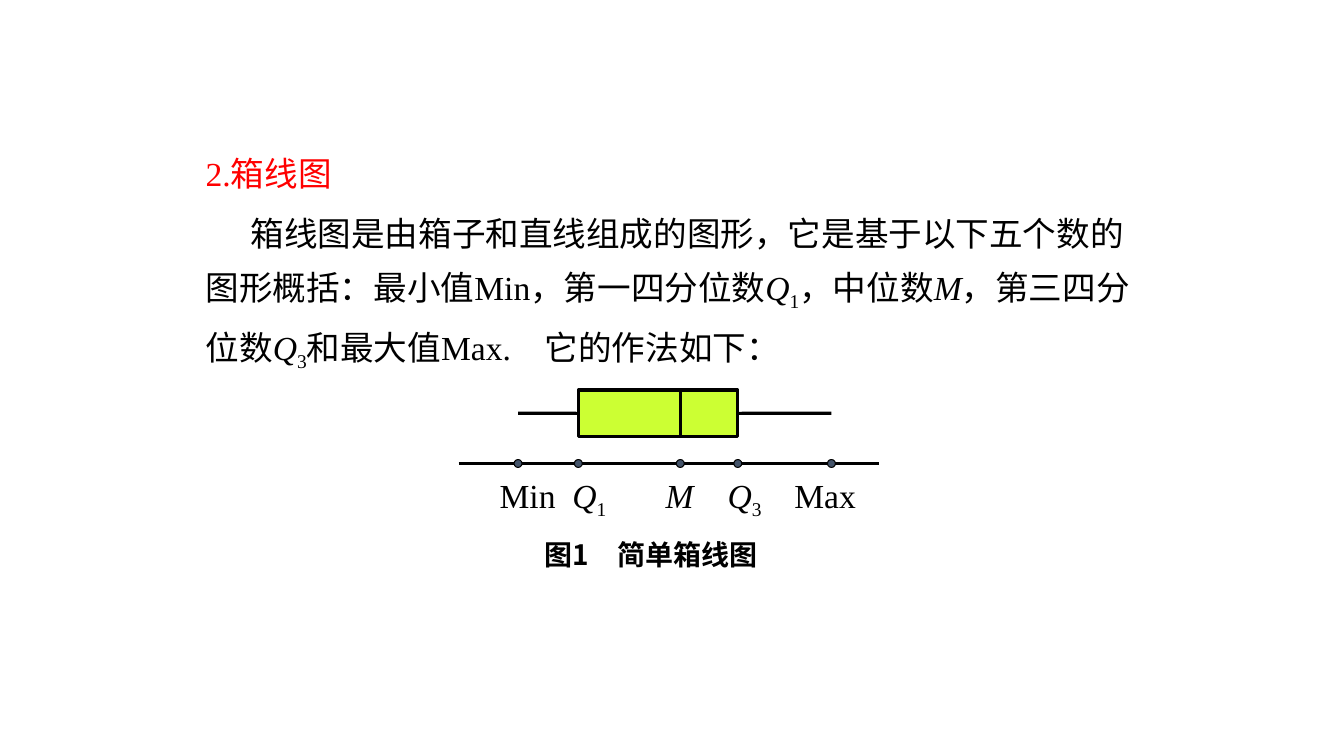
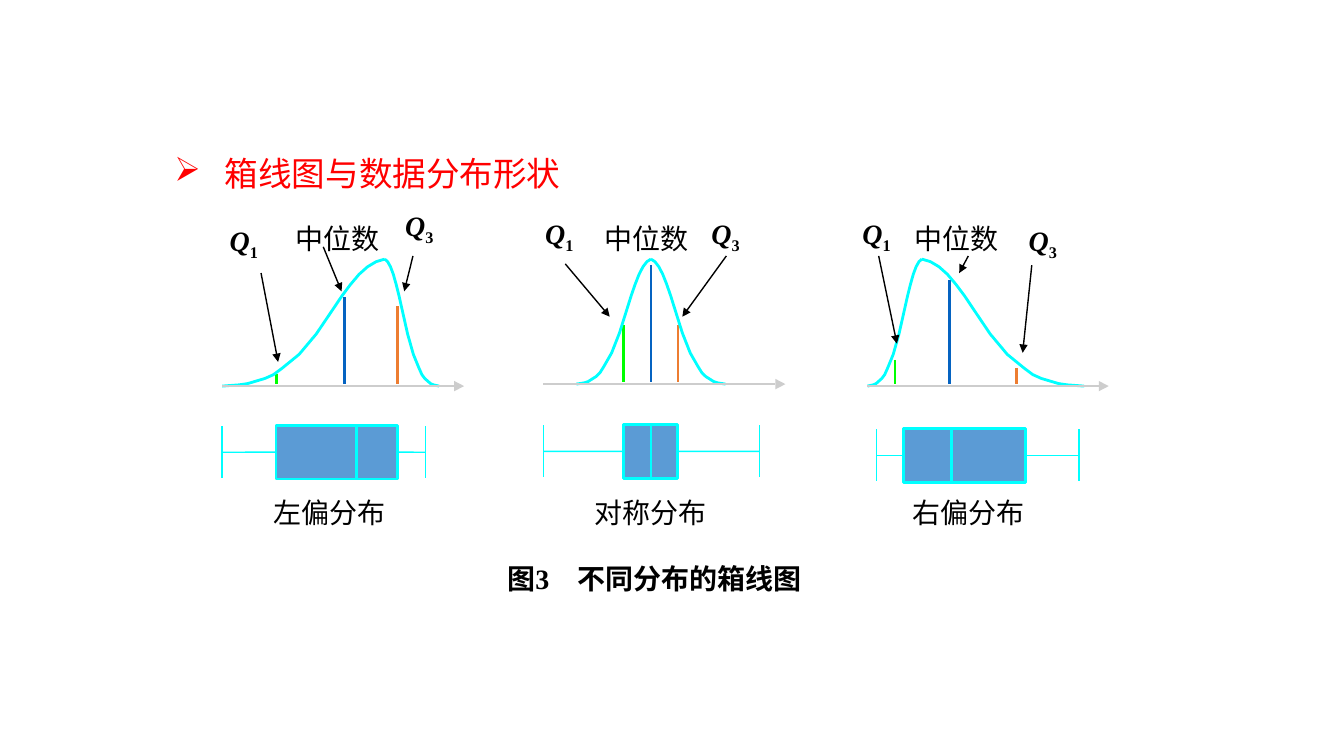
from dataclasses import dataclass

from lxml import etree
from pptx import Presentation
from pptx.dml.color import RGBColor
from pptx.enum.shapes import MSO_CONNECTOR, MSO_SHAPE
from pptx.enum.text import MSO_ANCHOR, MSO_AUTO_SIZE, PP_ALIGN
from pptx.oxml.ns import qn
from pptx.util import Cm, Pt

BLACK = RGBColor(0x00, 0x00, 0x00)
RED = RGBColor(0xFF, 0x00, 0x00)
CYAN = RGBColor(0x00, 0xFF, 0xFF)
LIME = RGBColor(0xCC, 0xFF, 0x33)
GREEN = RGBColor(0x00, 0xFF, 0x00)
BLUE = RGBColor(0x05, 0x63, 0xC1)
ORANGE = RGBColor(0xED, 0x7D, 0x31)
SKY = RGBColor(0x5B, 0x9B, 0xD5)
SLATE = RGBColor(0x44, 0x54, 0x6A)
GRAY = RGBColor(0xCD, 0xCD, 0xCD)

SERIF = "Times New Roman"
SANS = "Noto Sans CJK SC"
STRAIGHT = MSO_CONNECTOR.STRAIGHT
RECT = MSO_SHAPE.RECTANGLE
OVAL = MSO_SHAPE.OVAL
LEFT = PP_ALIGN.LEFT
CENTER = PP_ALIGN.CENTER
TOP = MSO_ANCHOR.TOP
NO_FIT = MSO_AUTO_SIZE.NONE

Q1 = [("Q", "i"), ("1", "sub")]
Q3 = [("Q", "i"), ("3", "sub")]
MEDIAN = [("中位数", "")]

CURVE_STEPS = [0, 2, 3, 4, 5, 6, 7, 9, 11, 13, 14, 15, 16, 17, 18, 19]
CURVE_DROPS = [1, 0.99, 0.98, 0.96, 0.94, 0.91, 0.86, 0.75, 0.59, 0.39,
               0.29, 0.2, 0.12, 0.06, 0.02, 0]
CURVE_TOP = 1.43
AXIS_LENGTH = 5.85


@dataclass
class Distribution:
    name: str
    name_x: float
    five: list
    box_top: float
    curve: list
    base: float
    marks: list
    labels: list
    arrows: list


DISTRIBUTIONS = [
    Distribution(
        "左偏分布", 2.72, [0, 1.36, 3.39, 4.43, 5.12], 5.62,
        [0, 4.1, 5.47], 4.63,
        [(1.36, 4.32), (3.09, 2.39), (4.43, 2.62)],
        [(0.55, 0.41), (2.92, 0.36), (4.97, 0.03)],
        [(0.98, 1.78, 1.41, 4.02), (2.55, 1.12, 3.01, 2.24),
         (4.81, 1.35, 4.59, 2.24)]),
    Distribution(
        "对称分布", 2.7, [0, 2.02, 2.71, 3.39, 5.45], 5.6,
        [0.83, 2.71, 4.59], 4.58,
        [(2.02, 3.1), (2.71, 1.58), (3.39, 3.1)],
        [(0.4, 0.23), (2.6, 0.36), (4.59, 0.23)],
        [(0.55, 1.55, 1.67, 2.88), (4.61, 1.35, 3.5, 2.88)]),
    Distribution(
        "右偏分布", 2.57, [0.25, 0.93, 2.13, 4.01, 5.35], 5.7,
        [0.02, 1.39, 5.48], 4.63,
        [(0.71, 3.97), (2.08, 1.96), (3.78, 4.17)],
        [(0.25, 0.23), (2.27, 0.36), (4.44, 0.41)],
        [(0.3, 1.35, 0.76, 3.56), (2.56, 1.35, 2.33, 1.78),
         (4.16, 1.58, 3.93, 3.79)]),
]


def write(p, runs, size, color=BLACK, bold=False, latin=SERIF):
    for text, style in runs:
        r = p.add_run()
        r.text = text
        f = r.font
        f.size, f.bold, f.italic = Pt(size), bold, style == "i"
        f.name = latin
        f.color.rgb = color
        rPr = r._r.get_or_add_rPr()
        rPr.find(qn("a:latin")).addnext(
            etree.Element(qn("a:ea"), typeface=SANS))
        if style == "sub":
            rPr.set("baseline", "-25000")


def place(sp, left, top, width, height):
    sp.left, sp.top, sp.width, sp.height = (
        Cm(v) for v in (left, top, width, height))
    tf = sp.text_frame
    tf.word_wrap = True
    tf.auto_size = NO_FIT
    tf.vertical_anchor = TOP
    return tf.paragraphs[0]


def heading(s, left, text, bullet=None):
    p = place(s.shapes.title, left, 3.73, 18.85, 1.27)
    p.alignment = LEFT
    if bullet:
        pPr = p._p.get_or_add_pPr()
        pPr.set("marL", str(Cm(1.27)))
        pPr.set("indent", str(-Cm(1.27)))
        clr = etree.SubElement(pPr, qn("a:buClr"))
        etree.SubElement(clr, qn("a:srgbClr"), val=str(RED))
        etree.SubElement(pPr, qn("a:buChar"), char=bullet)
    write(p, [(text, "")], 24, RED)


def label(s, center, top, width, runs, size=20, bold=False, latin=SERIF):
    sp = s.shapes.add_textbox(0, 0, 0, 0)
    p = place(sp, center - width / 2, top, width, 1.1)
    p.alignment = CENTER
    write(p, runs, size, bold=bold, latin=latin)


def line(s, x1, y1, x2, y2, color, width, arrow=False):
    c = s.shapes.add_connector(STRAIGHT, Cm(x1), Cm(y1), Cm(x2), Cm(y2))
    c.line.color.rgb = color
    c.line.width = Pt(width)
    if arrow:
        etree.SubElement(c.line._get_or_add_ln(), qn("a:tailEnd"),
                         type="triangle")
    etree.SubElement(c._element.spPr, qn("a:effectLst"))
    return c


def paint(sp, fill=None, outline=None, width=1):
    sp.shadow.inherit = False
    if fill is None:
        sp.fill.background()
    else:
        sp.fill.solid()
        sp.fill.fore_color.rgb = fill
    if outline is None:
        sp.line.fill.background()
    else:
        sp.line.color.rgb = outline
        sp.line.width = Pt(width)


def outline(s, points, closed=False):
    pts = [(Cm(x), Cm(y)) for x, y in points]
    fb = s.shapes.build_freeform(*pts[0], scale=1.0)
    fb.add_line_segments(pts[1:], close=closed)
    return fb.convert_to_shape()


def box_plot(s, left, top, five, height, fill, color, box_pt, whisker_pt,
             caps=False):
    low, q1, median, q3, high = (left + v for v in five)
    middle = top + height / 2
    box = s.shapes.add_shape(RECT, Cm(q1), Cm(top), Cm(q3 - q1), Cm(height))
    paint(box, fill, color, box_pt)
    line(s, median, top, median, top + height, color, box_pt)
    for site, edge, end in ((1, q1, low), (3, q3, high)):
        c = line(s, edge, middle, end, middle, color, whisker_pt)
        c.begin_connect(box, site)
        if caps:
            line(s, end, top + 0.02, end, top + height - 0.02, color,
                 whisker_pt)


def simple_figure(s, left, top):
    five = [1.5, 3.02, 5.59, 7.04, 9.4]
    axis_y, dot = 1.85, 0.2
    box_plot(s, left, top, five, 1.17, LIME, BLACK, 2.25, 2.25)
    line(s, left, top + axis_y, left + 10.6, top + axis_y, BLACK, 2.25)
    for x in five:
        sp = s.shapes.add_shape(OVAL, Cm(left + x - dot / 2),
                                Cm(top + axis_y - dot / 2), Cm(dot), Cm(dot))
        paint(sp, SLATE, BLACK, 0.75)
    names = [[("Min", "")], Q1, [("M", "i")], Q3, [("Max", "")]]
    for x, runs in zip([1.74, 3.3, 5.57, 7.21, 9.24], names):
        label(s, left + x, top + 2.01, 2.4, runs, 24)


def distribution_panel(s, left, top, d):
    label(s, left + d.name_x, top + 7.27, 4.2, [(d.name, "")])
    box_plot(s, left, top + d.box_top, d.five, 1.35, SKY, CYAN, 2, 1, True)
    base = top + d.base
    for (x, y), color in zip(d.marks, (GREEN, BLUE, ORANGE)):
        line(s, left + x, top + y, left + x, base - 0.05, color, 2)
    start, peak, end = d.curve
    for tail in (end, start):
        points = [(left + tail + (peak - tail) * step / 19,
                   top + CURVE_TOP + (d.base - CURVE_TOP) * drop)
                  for step, drop in zip(CURVE_STEPS, CURVE_DROPS)]
        paint(outline(s, points), None, CYAN, 2)
    tip = left + AXIS_LENGTH
    line(s, left, base, tip, base, GRAY, 1)
    head = [(tip, base - 0.13), (tip + 0.25, base), (tip, base + 0.13)]
    paint(outline(s, head, True), GRAY)
    for x1, y1, x2, y2 in d.arrows:
        line(s, left + x1, top + y1, left + x2, top + y2, BLACK, 1, True)
    for (x, y), runs in zip(d.labels, (Q1, MEDIAN, Q3)):
        label(s, left + x, top + y, 3, runs, bold=runs is not MEDIAN)


def box_plot_slide(prs):
    s = prs.slides.add_slide(prs.slide_layouts[1])
    heading(s, 4.93, "2.箱线图")
    p = place(s.placeholders[1], 4.93, 4.93, 24.3, 4.6)
    p.line_spacing = 1.3
    p.space_before = Pt(0)
    pPr = p._p.get_or_add_pPr()
    pPr.set("marL", "0")
    pPr.set("indent", str(Cm(1.13)))
    etree.SubElement(pPr, qn("a:buNone"))
    write(p, [
        ("箱线图是由箱子和直线组成的图形，它是基于以下五个数的图形概括："
         "最小值Min，第一四分位数", ""), *Q1,
        ("，中位数", ""), ("M", "i"), ("，第三四分位数", ""), *Q3,
        ("和最大值Max.　它的作法如下：", "")], 24)
    simple_figure(s, 11.56, 9.83)
    label(s, 16.42, 13.41, 10, [("图1　简单箱线图", "")], bold=True,
          latin=SANS)


def shapes_slide(prs):
    s = prs.slides.add_slide(prs.slide_layouts[5])
    heading(s, 4.14, "箱线图与数据分布形状", "➢")
    for left, d in zip((5.6, 13.7, 21.85), DISTRIBUTIONS):
        distribution_panel(s, left, 5.1, d)
    label(s, 16.5, 14.02, 10, [("图3　不同分布的箱线图", "")], bold=True)


def main():
    prs = Presentation()
    prs.slide_width, prs.slide_height = Cm(33.88), Cm(19.05)
    box_plot_slide(prs)
    shapes_slide(prs)
    prs.save("out.pptx")


if __name__ == "__main__":
    main()
